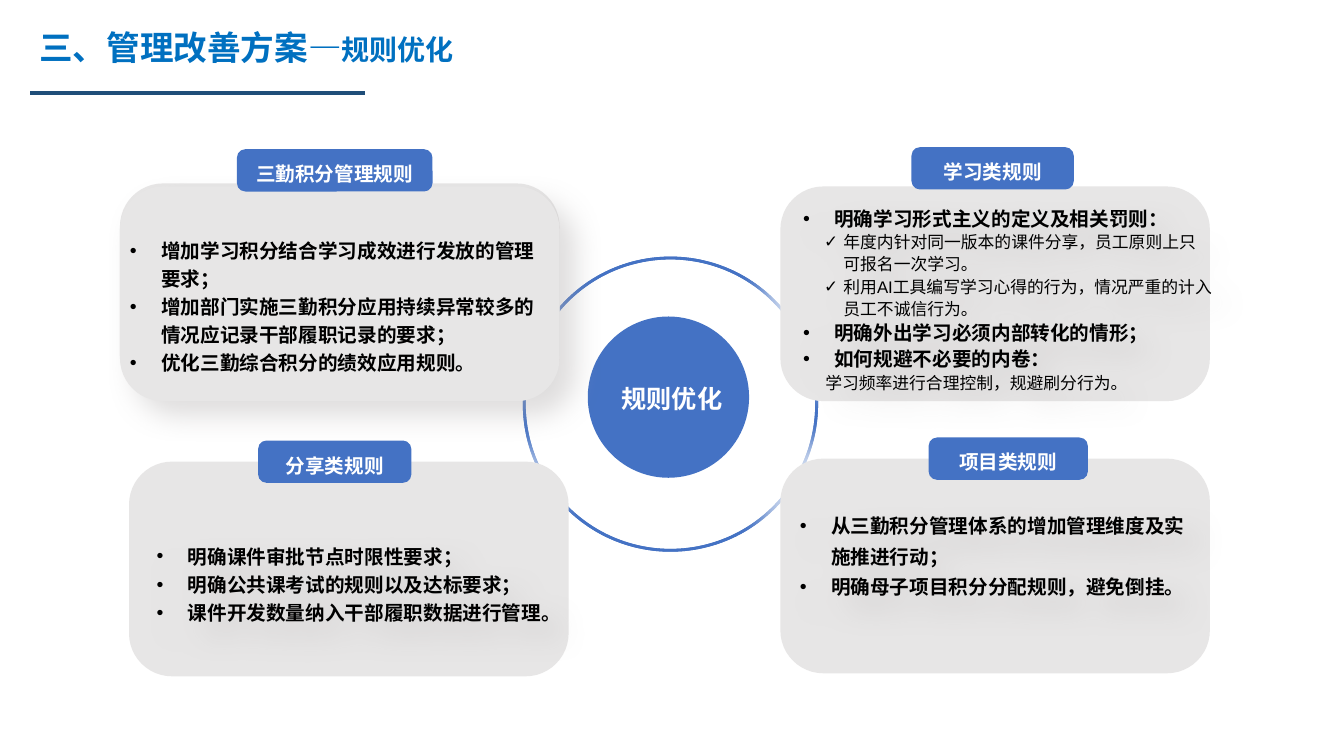
from lxml import etree
from pptx import Presentation
from pptx.dml.color import RGBColor
from pptx.enum.shapes import MSO_CONNECTOR, MSO_SHAPE
from pptx.enum.text import MSO_ANCHOR, MSO_AUTO_SIZE, PP_ALIGN
from pptx.oxml.ns import qn
from pptx.util import Inches, Pt

ROUNDED = MSO_SHAPE.ROUNDED_RECTANGLE
DONUT = MSO_SHAPE.DONUT
STRAIGHT = MSO_CONNECTOR.STRAIGHT
MIDDLE = MSO_ANCHOR.MIDDLE
GROW = MSO_AUTO_SIZE.SHAPE_TO_FIT_TEXT
CENTER = PP_ALIGN.CENTER

TITLE_BLUE = RGBColor(0x00, 0x70, 0xC0)
NAVY = RGBColor(0x1F, 0x4E, 0x79)
BLUE = RGBColor(0x44, 0x72, 0xC4)
GREY = RGBColor(0xE7, 0xE6, 0xE6)
WHITE = RGBColor(0xFF, 0xFF, 0xFF)
BLACK = RGBColor(0x00, 0x00, 0x00)
LIGHT_SHADOW = ("FFFFFF", 75, 225)
DARK_SHADOW = ("AFABAB", 40, 45)

POINT = dict(size=14, bold=True, marker="•", left=0.31, hanging=0.31)
DETAIL = dict(size=12, bold=False, marker="✓", left=0.4, hanging=0.19)
REMARK = dict(size=12, bold=False, marker=None, left=0.22, hanging=0)


class RulesSlide:
    """Draws the rule cards on one slide in a shared style."""

    latin, east_asian = "Arial", "Noto Sans CJK SC"

    def __init__(self, slide):
        self.slide = slide
        self.shapes = slide.shapes

    def style_run(self, run, size, color, bold=True):
        run.font.name = self.latin
        run.font.size = Pt(size)
        run.font.bold = bold
        run.font.color.rgb = color
        etree.SubElement(run.font._element, qn("a:ea"), typeface=self.east_asian)

    def shape(self, kind, box, corner, fill=None, line=None, shadow=None):
        shape = self.shapes.add_shape(kind, *map(Inches, box))
        shape.adjustments[0] = corner
        if fill is None:
            shape.fill.background()
        else:
            shape.fill.solid()
            shape.fill.fore_color.rgb = fill
        if line is None:
            shape.line.fill.background()
        else:
            shape.line.color.rgb = line
            shape.line.width = Pt(2)
        shape.shadow.inherit = False
        if shadow:
            color, alpha, angle = shadow
            effects = shape._element.spPr.find(qn("a:effectLst"))
            outer = etree.SubElement(
                effects, qn("a:outerShdw"), blurRad=str(Pt(20)), dist=str(Pt(15)),
                dir=str(angle * 60000), algn="ctr", rotWithShape="0")
            tint = etree.SubElement(outer, qn("a:srgbClr"), val=color)
            etree.SubElement(tint, qn("a:alpha"), val=str(alpha * 1000))
        return shape

    def label(self, box, parts, color, align=None):
        frame = self.shapes.add_textbox(*map(Inches, box)).text_frame
        frame.word_wrap = False
        frame.auto_size = GROW
        paragraph = frame.paragraphs[0]
        paragraph.alignment = align
        for text, size in parts:
            run = paragraph.add_run()
            run.text = text
            self.style_run(run, size, color)

    def rule(self, start, end, color, width):
        connector = self.shapes.add_connector(STRAIGHT, *map(Inches, start + end))
        connector.line.color.rgb = color
        connector.line.width = Pt(width)
        etree.SubElement(connector._element.spPr, qn("a:effectLst"))

    def tag(self, box, text):
        frame = self.shape(ROUNDED, box, 0.2, BLUE).text_frame
        frame.word_wrap = True
        frame.auto_size = GROW
        frame.vertical_anchor = MIDDLE
        paragraph = frame.paragraphs[0]
        paragraph.text = text
        paragraph.alignment = CENTER
        paragraph.line_spacing = 1.3
        self.style_run(paragraph.runs[0], 14, WHITE)

    def bullets(self, frame, items, spacing):
        frame.word_wrap = True
        frame.text = "\n".join(text for text, level in items)
        for paragraph, (text, level) in zip(frame.paragraphs, items):
            properties = paragraph._p.get_or_add_pPr()
            properties.set("marL", str(Inches(level["left"])))
            properties.set("indent", str(-Inches(level["hanging"])))
            if level["marker"]:
                etree.SubElement(properties, qn("a:buFont"), typeface="Arial")
                etree.SubElement(properties, qn("a:buChar"), char=level["marker"])
            paragraph.alignment = PP_ALIGN.LEFT
            paragraph.line_spacing = spacing
            self.style_run(paragraph.runs[0], level["size"], BLACK, level["bold"])

    def body_box(self, box, items, spacing, bottom=0.05):
        frame = self.shape(ROUNDED, box, 0.2, shadow=DARK_SHADOW).text_frame
        frame.vertical_anchor = MIDDLE
        frame.margin_bottom = Inches(bottom)
        self.bullets(frame, items, spacing)

    def body_text(self, box, items, spacing):
        frame = self.shapes.add_textbox(*map(Inches, box)).text_frame
        frame.auto_size = GROW
        self.bullets(frame, items, spacing)

    def card(self, panels, tag_box, title, body=None):
        self.shapes = self.slide.shapes.add_group_shape().shapes
        for box, shadow in panels:
            self.shape(ROUNDED, box, 0.2, GREY, shadow=shadow)
        if body:
            self.body_box(*body)
        self.tag(tag_box, title)
        self.shapes = self.slide.shapes


def main():
    presentation = Presentation()
    presentation.slide_width = Inches(13.33)
    presentation.slide_height = Inches(7.5)
    page = RulesSlide(presentation.slides.add_slide(presentation.slide_layouts[6]))

    page.label((0.29, 0.22, 4.35, 0.5),
               [("三、管理改善方案—", 24), ("规则优化", 20)], TITLE_BLUE)
    page.rule((0.3, 0.92), (3.62, 0.92), NAVY, 3)
    page.shape(DONUT, (5.2, 2.56, 2.9, 2.9), 0, line=BLUE)
    page.shape(ROUNDED, (5.83, 3.14, 1.6, 1.6), 0.5, BLUE)

    study = [
        ("明确学习形式主义的定义及相关罚则：", POINT),
        ("年度内针对同一版本的课件分享，员工原则上只可报名一次学习。", DETAIL),
        ("利用AI工具编写学习心得的行为，情况严重的计入员工不诚信行为。", DETAIL),
        ("明确外出学习必须内部转化的情形；", POINT),
        ("如何规避不必要的内卷：", POINT),
        ("学习频率进行合理控制，规避刷分行为。", REMARK),
    ]
    sharing = [
        ("明确课件审批节点时限性要求；", POINT),
        ("明确公共课考试的规则以及达标要求；", POINT),
        ("课件开发数量纳入干部履职数据进行管理。", POINT),
    ]
    points = [
        ("增加学习积分结合学习成效进行发放的管理要求；", POINT),
        ("增加部门实施三勤积分应用持续异常较多的情况应记录干部履职记录的要求；", POINT),
        ("优化三勤综合积分的绩效应用规则。", POINT),
    ]
    projects = [
        ("从三勤积分管理体系的增加管理维度及实施推进行动；", POINT),
        ("明确母子项目积分分配规则，避免倒挂。", POINT),
    ]

    page.card([((1.19, 1.82, 4.36, 2.13), LIGHT_SHADOW),
               ((1.19, 1.85, 4.36, 2.13), DARK_SHADOW)],
              (2.35, 1.48, 1.94, 0.42), "三勤积分管理规则")
    page.card([((7.74, 1.85, 4.26, 2.13), LIGHT_SHADOW)],
              (9.04, 1.46, 1.61, 0.42), "学习类规则",
              ((7.74, 1.88, 4.51, 2.16), study, 1.1))
    page.card([((1.28, 4.58, 4.36, 2.13), LIGHT_SHADOW)],
              (2.56, 4.37, 1.52, 0.42), "分享类规则",
              ((1.33, 4.71, 4.36, 2.13), sharing, 1.2))
    page.card([((7.74, 4.55, 4.26, 2.13), LIGHT_SHADOW)],
              (9.21, 4.34, 1.58, 0.42), "项目类规则")
    page.body_text((1.19, 2.27, 4.28, 1.49), points, 1.2)
    page.label((6.06, 3.75, 1.21, 0.4), [("规则优化", 18)], WHITE, CENTER)
    page.body_box((7.71, 4.58, 4.36, 2.13), projects, 1.3, bottom=0.37)

    presentation.save("out.pptx")


if __name__ == "__main__":
    main()
